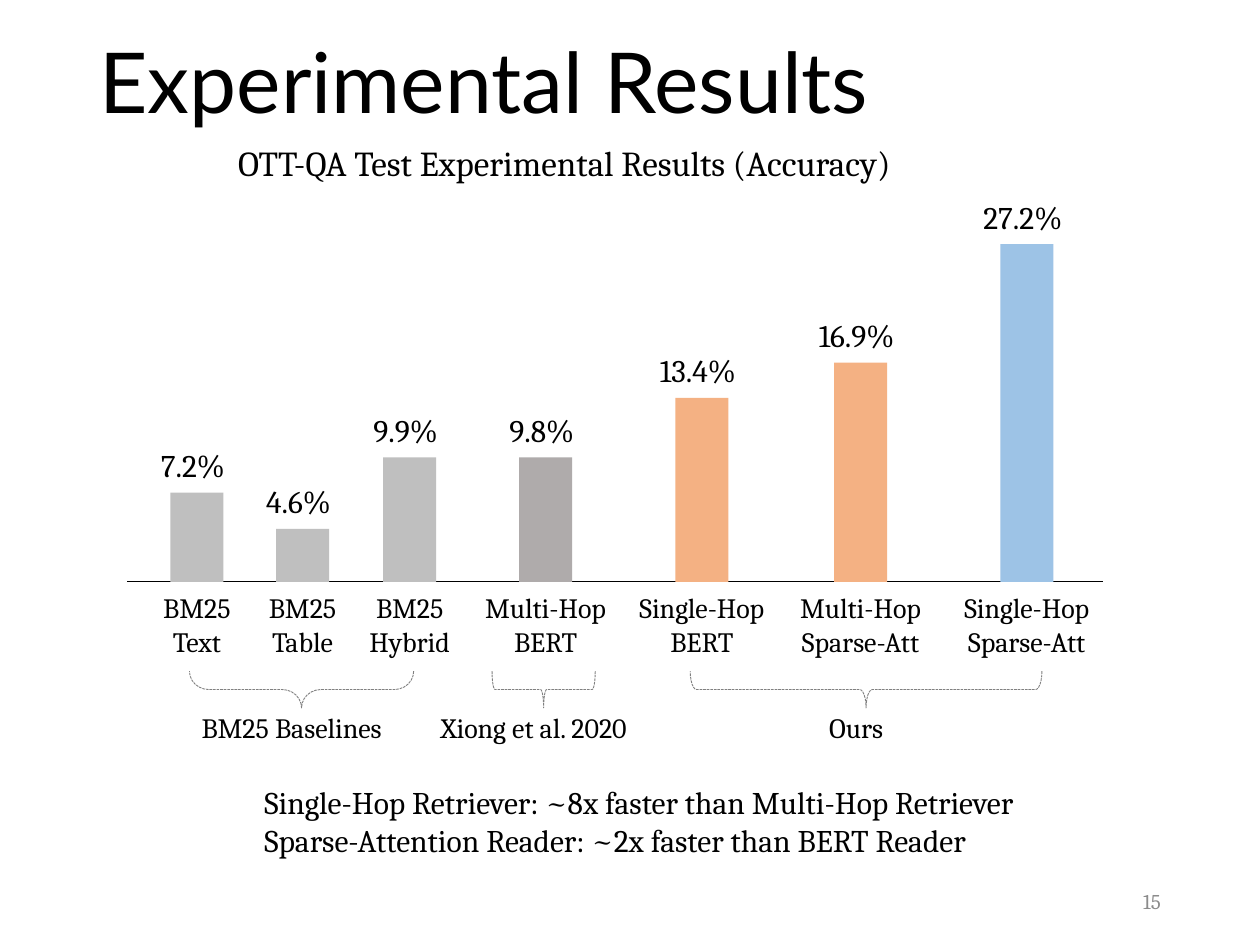
from dataclasses import dataclass

import lxml.etree
import pptx
import pptx.dml.color
import pptx.enum.dml
import pptx.enum.shapes
import pptx.enum.text
import pptx.oxml.ns
import pptx.util

Cm = pptx.util.Cm
Pt = pptx.util.Pt
Align = pptx.enum.text.PP_ALIGN
Anchor = pptx.enum.text.MSO_ANCHOR
Shape = pptx.enum.shapes.MSO_SHAPE


@dataclass(frozen=True)
class Theme:
    heading_font: str = "Lato"
    body_font: str = "Cambria"
    ink: str = "000000"
    muted: str = "8C8C8C"
    brace: str = "808080"
    baseline: str = "BFBFBF"
    prior: str = "AFABAB"
    ours: str = "F4B183"
    best: str = "9DC3E6"
    heading: int = 48
    chart_title: int = 20
    body: int = 18
    label: int = 16
    number: int = 12
    hairline: float = 0.5


@dataclass(frozen=True)
class Box:
    """A region of the page, in centimetres."""
    left: float
    top: float
    width: float
    height: float

    def lengths(self):
        return Cm(self.left), Cm(self.top), Cm(self.width), Cm(self.height)


THEME = Theme()

# Centre from the left end of the axis, bar height, value, name, colour
BARS = [
    (1.40, 1.80, "7.2%", ("BM25", "Text"), THEME.baseline),
    (3.53, 1.07, "4.6%", ("BM25", "Table"), THEME.baseline),
    (5.69, 2.51, "9.9%", ("BM25", "Hybrid"), THEME.baseline),
    (8.43, 2.51, "9.8%", ("Multi-Hop", "BERT"), THEME.prior),
    (11.58, 3.71, "13.4%", ("Single-Hop", "BERT"), THEME.ours),
    (14.78, 4.42, "16.9%", ("Multi-Hop", "Sparse-Att"), THEME.ours),
    (18.13, 6.81, "27.2%", ("Single-Hop", "Sparse-Att"), THEME.best),
]

# Centre from the left end of the axis, span, corner roundness, caption
GROUPS = [
    (3.51, 4.52, 0.525, "BM25 Baselines"),
    (8.39, 2.08, 0.083, "Xiong et al. 2020"),
    (14.89, 7.09, 0.172, "Ours"),
]


def rgb(value):
    return pptx.dml.color.RGBColor.from_string(value)


def write(frame, lines, size, font=THEME.body_font, color=THEME.ink, align=Align.LEFT):
    for index, line in enumerate(lines):
        para = frame.paragraphs[0] if index == 0 else frame.add_paragraph()
        para.alignment = align
        span = para.add_run()
        span.text = line
        span.font.size = Pt(size)
        span.font.name = font
        span.font.color.rgb = rgb(color)


def add_text(page, box, lines, size, wrap=False, anchor=Anchor.TOP, **style):
    frame = page.shapes.add_textbox(*box.lengths()).text_frame
    frame.word_wrap = wrap
    frame.vertical_anchor = anchor
    write(frame, lines, size, **style)


def add_label(page, center, top, height, lines, size):
    """Centre a label on a point, as wide as its longest line needs."""
    width = max(2.3, 0.3 * max(map(len, lines)) + 0.5)
    box = Box(center - width / 2, top, width, height)
    add_text(page, box, lines, size, align=Align.CENTER)


def add_heading(page, box):
    title = page.shapes.title
    title.left, title.top, title.width, title.height = box.lengths()
    frame = title.text_frame
    frame.auto_size = pptx.enum.text.MSO_AUTO_SIZE.NONE
    frame.vertical_anchor = Anchor.MIDDLE
    write(frame, ["Experimental Results"], THEME.heading, THEME.heading_font)
    frame.paragraphs[0].line_spacing = 0.9


def add_axis(page, left, right, top):
    axis = page.shapes.add_connector(
        pptx.enum.shapes.MSO_CONNECTOR.STRAIGHT, Cm(left), Cm(top), Cm(right), Cm(top))
    axis.line.color.rgb = rgb(THEME.ink)
    axis.line.width = Pt(THEME.hairline)
    lxml.etree.SubElement(axis._element.spPr, pptx.oxml.ns.qn("a:effectLst"))


def add_bar(page, center, axis_top, height, value, name, color):
    width, value_height = 1.07, 1.02
    top = axis_top - height
    bar = page.shapes.add_shape(
        Shape.RECTANGLE, *Box(center - width / 2, top, width, height).lengths())
    bar.shadow.inherit = False
    bar.fill.solid()
    bar.fill.fore_color.rgb = rgb(color)
    bar.line.fill.background()
    add_label(page, center - 0.08, top - value_height - 0.04, value_height, [value],
              THEME.body)
    add_label(page, center, axis_top + 0.05, 1.63, name, THEME.label)


def add_group(page, center, axis_top, span_width, roundness, caption):
    """Draw a downward brace under some bars, with its caption."""
    depth = 0.74
    middle = axis_top + 1.8 + depth / 2
    box = Box(center - depth / 2, middle - span_width / 2, depth, span_width)
    brace = page.shapes.add_shape(Shape.LEFT_BRACE, *box.lengths())
    brace.rotation = 270
    brace.adjustments[0] = roundness
    brace.shadow.inherit = False
    brace.fill.background()
    brace.line.color.rgb = rgb(THEME.brace)
    brace.line.width = Pt(THEME.hairline)
    brace.line.dash_style = pptx.enum.dml.MSO_LINE.SQUARE_DOT
    add_label(page, center - 0.2, axis_top + 2.47, 0.94, [caption], THEME.label)


def add_accuracy_chart(page, box):
    axis_top = box.top + box.height - 3.41
    add_text(page, Box(box.left + 1.98, box.top, 15.24, 1.12),
             ["OTT-QA Test Experimental Results (Accuracy)"], THEME.chart_title)
    add_axis(page, box.left, box.left + box.width, axis_top)
    for center, *details in BARS:
        add_bar(page, box.left + center, axis_top, *details)
    for center, *details in GROUPS:
        add_group(page, box.left + center, axis_top, *details)


def add_speed_notes(page, box):
    add_text(page, box, [
        "Single-Hop Retriever: ~8x faster than Multi-Hop Retriever",
        "Sparse-Attention Reader: ~2x faster than BERT Reader",
    ], THEME.body, wrap=True)


def add_page_number(page, box):
    add_text(page, box, ["15"], THEME.number, wrap=True, anchor=Anchor.MIDDLE,
             color=THEME.muted, align=Align.RIGHT)


def main():
    deck = pptx.Presentation()
    deck.slide_width, deck.slide_height = Cm(25.4), Cm(19.05)
    page = deck.slides.add_slide(deck.slide_layouts.get_by_name("Title Only"))
    add_heading(page, Box(1.75, 1.02, 21.89, 1.42))
    add_accuracy_chart(page, Box(2.57, 2.72, 19.66, 12.42))
    add_speed_notes(page, Box(5.08, 15.67, 17.73, 1.8))
    add_page_number(page, Box(21.59, 17.65, 2.06, 1.02))
    deck.save("out.pptx")


if __name__ == "__main__":
    main()
